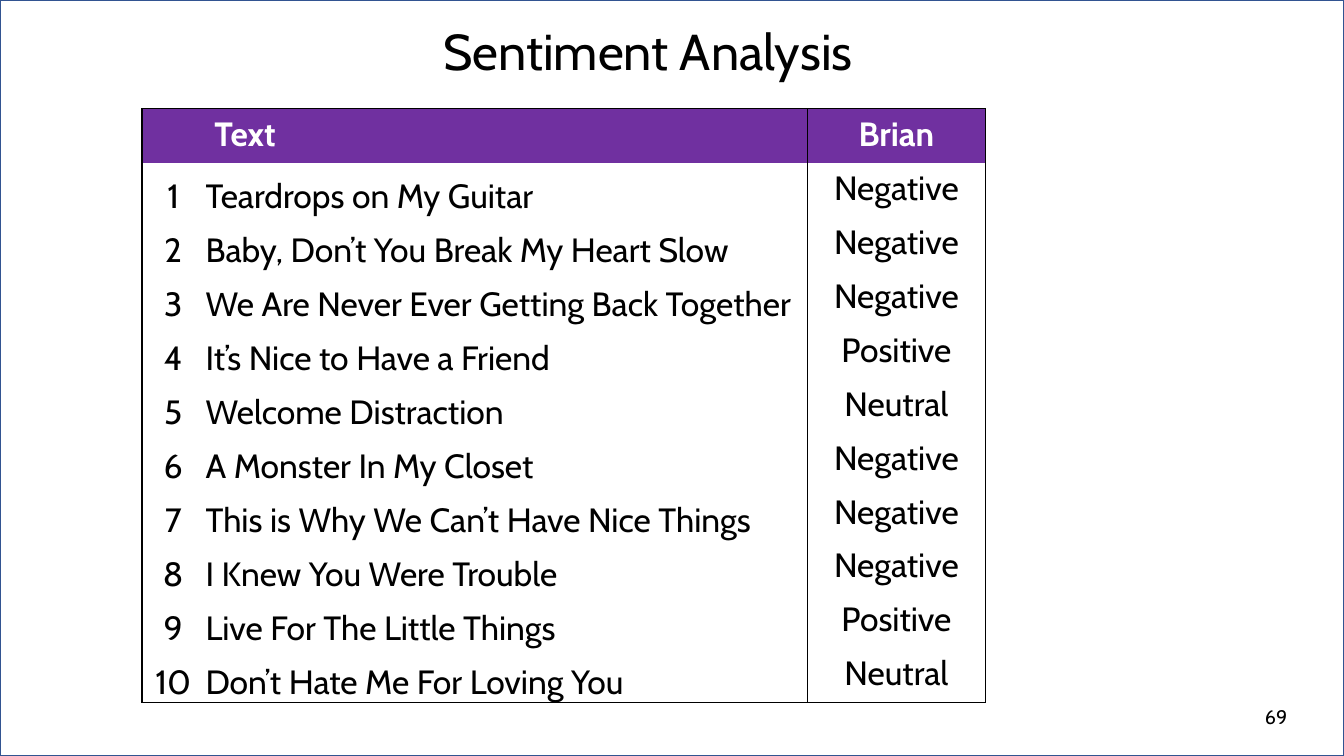
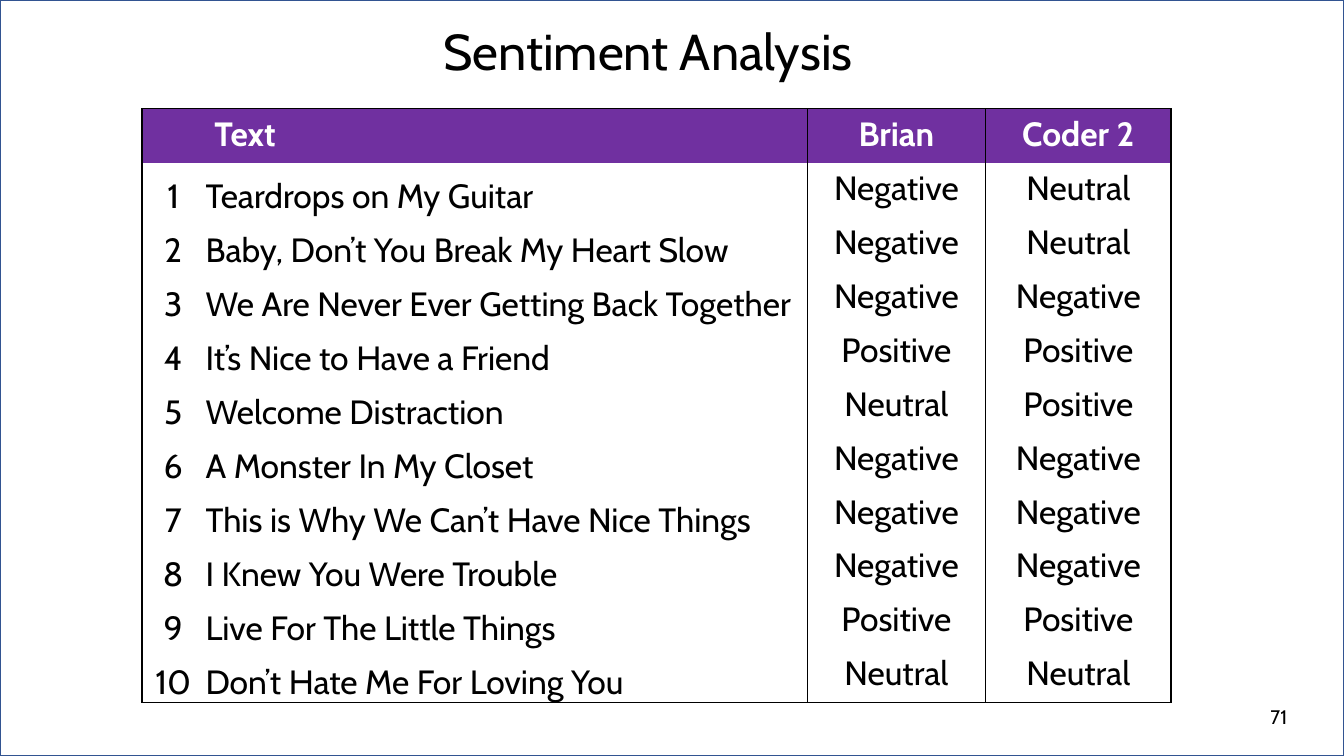
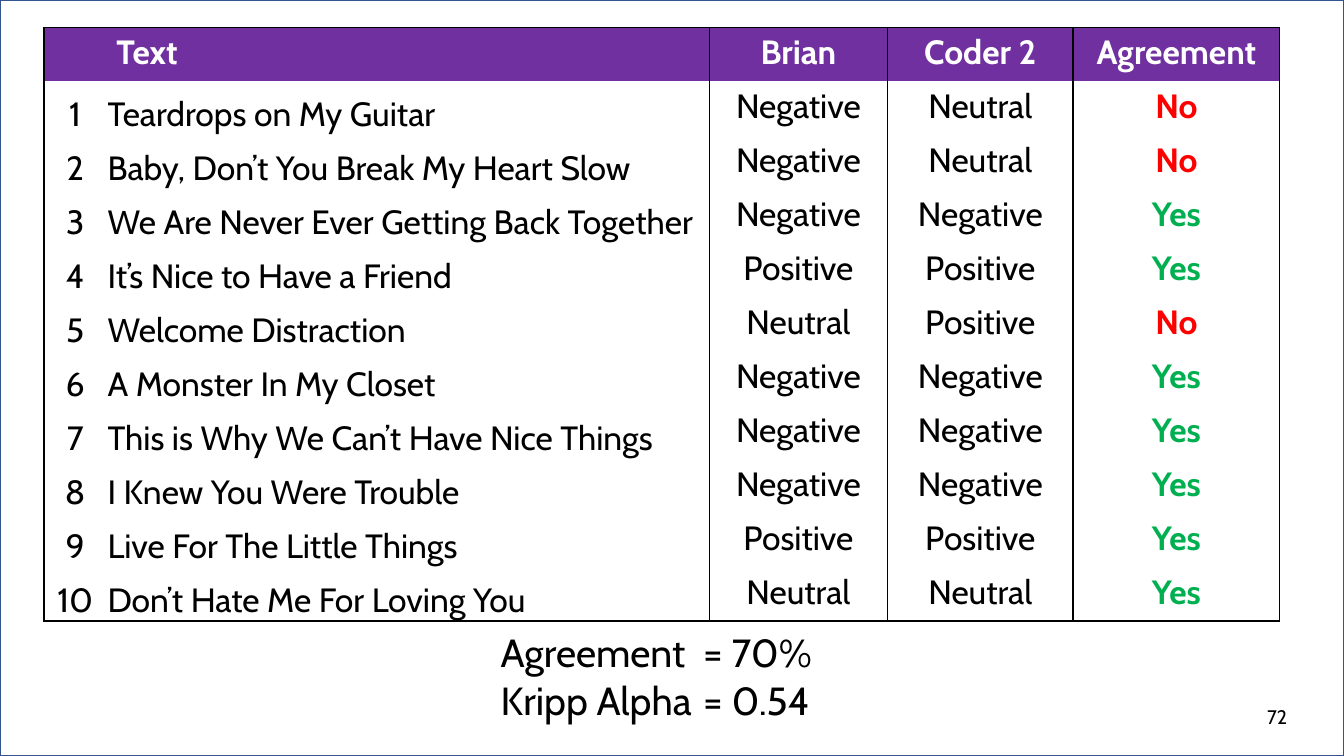
from lxml import etree
from pptx import Presentation
from pptx.dml.color import RGBColor
from pptx.enum.shapes import MSO_SHAPE
from pptx.enum.text import MSO_ANCHOR, PP_ALIGN
from pptx.oxml.ns import qn
from pptx.util import Cm, Pt

LEFT, CENTER, RIGHT = PP_ALIGN.LEFT, PP_ALIGN.CENTER, PP_ALIGN.RIGHT
BOTTOM = MSO_ANCHOR.BOTTOM
RECTANGLE = MSO_SHAPE.RECTANGLE

SLIDE_WIDTH, SLIDE_HEIGHT = 33.87, 19.05
COLUMN_WIDTHS = [1.57, 15.19, 4.5, 4.67, 5.21]
ROW_HEIGHT = 1.36

HEADERS = ["", "Text", "Brian", "Coder 2", "Agreement"]
CODINGS = [
    ("Teardrops on My Guitar", "Negative", "Neutral"),
    ("Baby, Don’t You Break My Heart Slow", "Negative", "Neutral"),
    ("We Are Never Ever Getting Back Together", "Negative", "Negative"),
    ("It’s Nice to Have a Friend", "Positive", "Positive"),
    ("Welcome Distraction", "Neutral", "Positive"),
    ("A Monster In My Closet", "Negative", "Negative"),
    ("This is Why We Can’t Have Nice Things", "Negative", "Negative"),
    ("I Knew You Were Trouble", "Negative", "Negative"),
    ("Live For The Little Things", "Positive", "Positive"),
    ("Don’t Hate Me For Loving You", "Neutral", "Neutral"),
]


def rgb(value):
    return RGBColor.from_string(value)


class Deck:
    FONT = "Cabin"
    BLACK, WHITE, PURPLE = "000000", "FFFFFF", "7030A0"
    FRAME = "325491"
    VERDICTS = {"Yes": "00B050", "No": "FF0000"}

    def __init__(self):
        self.prs = Presentation()
        self.prs.slide_width = Cm(SLIDE_WIDTH)
        self.prs.slide_height = Cm(SLIDE_HEIGHT)
        self.slide = None

    def new_slide(self, number):
        """Start a slide with its framed page and page number."""
        self.slide = self.prs.slides.add_slide(self.prs.slide_layouts[6])
        page = self.slide.shapes.add_shape(
            RECTANGLE, 0, 0, self.prs.slide_width, self.prs.slide_height)
        page.shadow.inherit = False
        page.fill.solid()
        page.fill.fore_color.rgb = rgb(self.WHITE)
        page.line.color.rgb = rgb(self.FRAME)
        page.line.width = Pt(1)
        self.text([str(number)], 25.07, 17.65, 7.62, 1.02, 14, RIGHT)

    def style(self, paragraph, size, align, color=BLACK, bold=False):
        paragraph.alignment = align
        font = paragraph.font
        font.name, font.size, font.bold = self.FONT, Pt(size), bold
        font.color.rgb = rgb(color)

    def text(self, lines, left, top, width, height, size, align=LEFT, tab=None):
        box = self.slide.shapes.add_textbox(Cm(left), Cm(top), Cm(width), Cm(height))
        frame = box.text_frame
        frame.word_wrap = True
        for i, line in enumerate(lines):
            paragraph = frame.add_paragraph() if i else frame.paragraphs[0]
            paragraph.text = line
            if tab:
                stops = etree.SubElement(paragraph._p.get_or_add_pPr(), qn("a:tabLst"))
                etree.SubElement(stops, qn("a:tab"), pos=str(Cm(tab)), algn="l")
            self.style(paragraph, size, align)

    def title(self, wording):
        self.text([wording], 4.9, 0.38, 22.86, 1.8, 36, CENTER)

    def borders(self, cell, drawn):
        """Draw the sides named in drawn (L, R, T, B) and clear the others."""
        properties = cell._tc.get_or_add_tcPr()
        for i, side in enumerate("LRTB"):
            line = etree.Element(qn(f"a:ln{side}"), w=str(Pt(1)))
            if side in drawn:
                fill = etree.SubElement(line, qn("a:solidFill"))
                etree.SubElement(fill, qn("a:srgbClr"), val=self.BLACK)
            else:
                etree.SubElement(line, qn("a:noFill"))
            properties.insert(i, line)

    def cell(self, cell, wording, row, column):
        header = row == 0
        # The number and text columns share one outline
        drawn = ("" if column == 1 else "L") + ("" if column == 0 else "R")
        drawn += "T" if header else "B" if row == len(CODINGS) else ""
        self.borders(cell, drawn)
        if header:
            cell.fill.solid()
            cell.fill.fore_color.rgb = rgb(self.PURPLE)
        else:
            cell.fill.background()
            if column < 2:
                cell.vertical_anchor = BOTTOM
                cell.margin_left = cell.margin_right = cell.margin_top = Cm(0.03)
                cell.margin_bottom = 0
        cell.text = wording
        color = self.WHITE if header else self.VERDICTS.get(wording, self.BLACK)
        self.style(cell.text_frame.paragraphs[0], 24, LEFT if column == 1 else CENTER,
                   color, header or wording in self.VERDICTS)

    def coding_table(self, left, top, columns):
        """Show the first columns of the coding results."""
        rows = [HEADERS] + [
            [str(n), song, first, second, "Yes" if first == second else "No"]
            for n, (song, first, second) in enumerate(CODINGS, 1)]
        widths = COLUMN_WIDTHS[:columns]
        table = self.slide.shapes.add_table(
            len(rows), columns, Cm(left), Cm(top),
            Cm(sum(widths)), Cm(ROW_HEIGHT * len(rows))).table
        table.first_row = table.horz_banding = False
        for column, width in zip(table.columns, widths):
            column.width = Cm(width)
        for r, row in enumerate(rows):
            table.rows[r].height = Cm(ROW_HEIGHT)
            for c, wording in enumerate(row[:columns]):
                self.cell(table.cell(r, c), wording, r, c)


def main():
    deck = Deck()

    # One coder, then two
    for number, columns in ((69, 3), (71, 4)):
        deck.new_slide(number)
        deck.coding_table(3.58, 2.74, columns)
        deck.title("Sentiment Analysis")

    # Agreement between the coders
    deck.new_slide(72)
    deck.coding_table(1.11, 0.69, 5)
    deck.text(["Agreement\t= 70%", "Kripp Alpha\t= 0.54"],
              12.37, 15.72, 9.12, 2.64, 28, tab=5.1)

    deck.prs.save("out.pptx")


if __name__ == "__main__":
    main()
